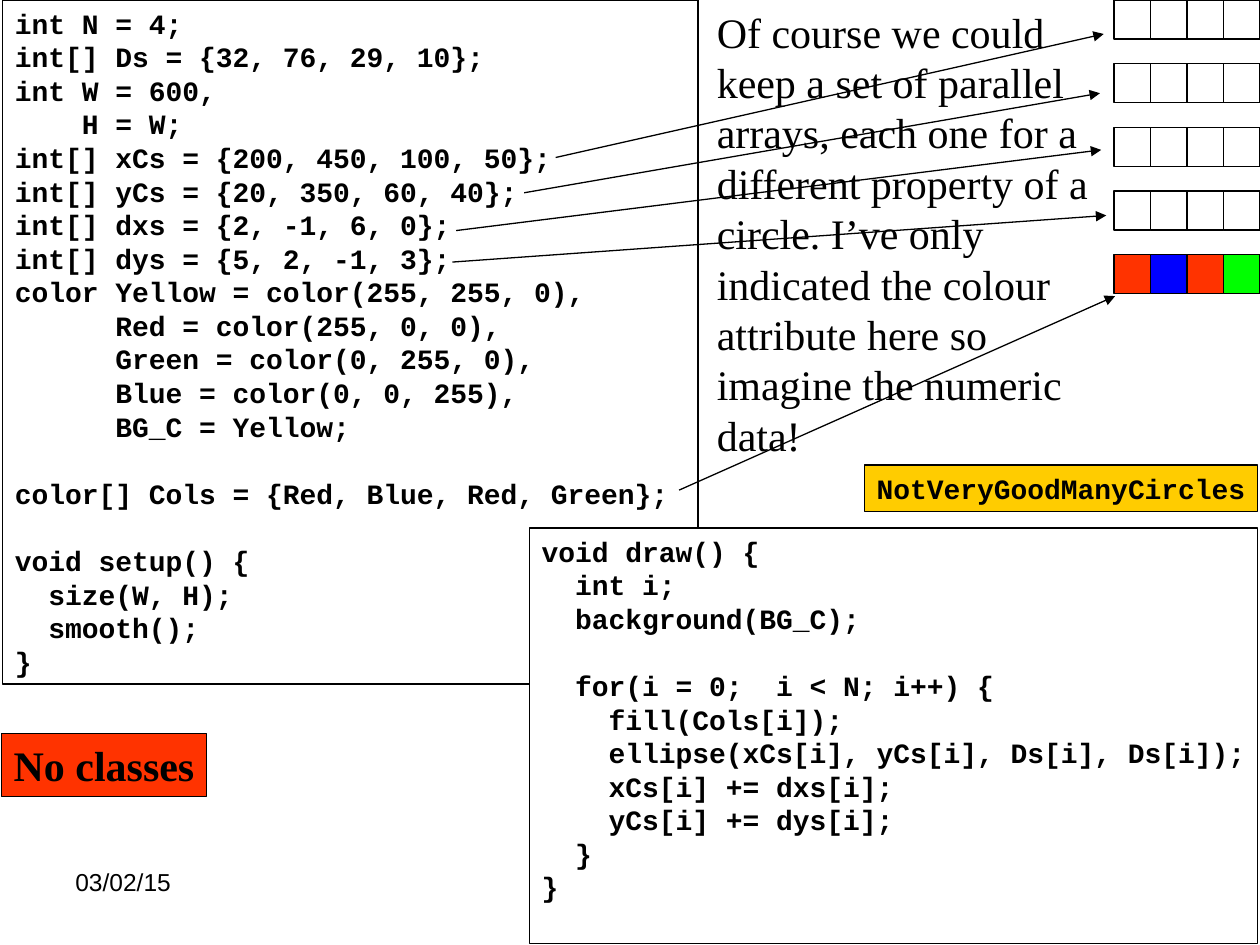
from dataclasses import dataclass

from lxml import etree
from pptx import Presentation
from pptx.dml.color import RGBColor
from pptx.enum.shapes import MSO_CONNECTOR, MSO_SHAPE
from pptx.enum.text import MSO_ANCHOR, PP_ALIGN
from pptx.oxml.ns import qn
from pptx.util import Inches, Pt

RECTANGLE = MSO_SHAPE.RECTANGLE
STRAIGHT = MSO_CONNECTOR.STRAIGHT
LEFT = PP_ALIGN.LEFT
TOP = MSO_ANCHOR.TOP

COLOURS = {
    "black": "000000",
    "white": "FFFFFF",
    "red": "FF3300",
    "blue": "0000FF",
    "green": "00FF00",
    "amber": "FFCC00",
}
CODE_FONT = "Courier New"
PROSE_FONT = "Times New Roman"
LINE_WIDTH = Pt(0.75)
LINE_HEIGHT = 1.2

ARRAY_LEFT, ARRAY_PITCH = 8.84, 0.505
CELL_WIDTH, CELL_HEIGHT, CELL_PITCH = 0.29, 0.31, 0.29
PLAIN_ROW = (None,) * 4
ARRAY_ROWS = [PLAIN_ROW] * 4 + [("red", "blue", "red", "green")]

SETUP_CODE = """int N = 4;
int[] Ds = {32, 76, 29, 10};
int W = 600,
    H = W;
int[] xCs = {200, 450, 100, 50};
int[] yCs = {20, 350, 60, 40};
int[] dxs = {2, -1, 6, 0};
int[] dys = {5, 2, -1, 3};
color Yellow = color(255, 255, 0),
      Red = color(255, 0, 0),
      Green = color(0, 255, 0),
      Blue = color(0, 0, 255),
      BG_C = Yellow;

color[] Cols = {Red, Blue, Red, Green};

void setup() {
  size(W, H);
  smooth();
}"""

DRAW_CODE = """void draw() {
  int i;
  background(BG_C);

  for(i = 0;  i < N; i++) {
    fill(Cols[i]);
    ellipse(xCs[i], yCs[i], Ds[i], Ds[i]);
    xCs[i] += dxs[i];
    yCs[i] += dys[i];
  }
}"""

EXPLANATION = (
    "Of course we could keep a set of parallel arrays, each one for a "
    "different property of a circle. I’ve only indicated the colour "
    "attribute here so imagine the numeric data!"
)


@dataclass(frozen=True)
class Box:
    left: float
    top: float
    width: float
    height: float

    def lengths(self) -> tuple:
        return tuple(map(Inches, (self.left, self.top, self.width, self.height)))


@dataclass(frozen=True)
class Arrow:
    start: tuple[float, float]
    end: tuple[float, float]


ARROWS = [
    Arrow((5.39, 3.89), (8.85, 2.35)),
    Arrow((3.59, 2.08), (8.78, 1.71)),
    Arrow((3.62, 1.83), (8.74, 1.19)),
    Arrow((4.16, 1.53), (8.73, 0.74)),
    Arrow((4.41, 1.25), (8.76, 0.27)),
]


def colour(name: str) -> RGBColor:
    return RGBColor.from_string(COLOURS[name])


def add_rectangle(shapes, box: Box, fill: str | None = None):
    shape = shapes.add_shape(RECTANGLE, *box.lengths())
    shape.shadow.inherit = False
    if fill:
        shape.fill.solid()
        shape.fill.fore_color.rgb = colour(fill)
    else:
        shape.fill.background()
    shape.line.color.rgb = colour("black")
    shape.line.width = LINE_WIDTH
    return shape


def write_text(shape, text: str, *, font: str = CODE_FONT, size: int = 16,
               bold: bool = True) -> None:
    """Write one paragraph per line; an empty line becomes space before the next."""
    frame = shape.text_frame
    frame.word_wrap = True
    frame.vertical_anchor = TOP
    frame.margin_right = 0
    line_height = Pt(size * LINE_HEIGHT)
    paragraph, gap = frame.paragraphs[0], 0
    for index, line in enumerate(text.split("\n")):
        if not line:
            gap += line_height
            continue
        if index:
            paragraph = frame.add_paragraph()
        paragraph.alignment = LEFT
        paragraph.line_spacing = line_height
        paragraph.space_before = gap
        gap = 0
        run = paragraph.add_run()
        run.text = line
        run.font.name = font
        run.font.size = Pt(size)
        run.font.bold = bold
        run.font.color.rgb = colour("black")


def add_array(shapes, top: float, fills: tuple) -> None:
    cells = shapes.add_group_shape().shapes
    for column, fill in enumerate(fills):
        left = ARRAY_LEFT + column * CELL_PITCH
        add_rectangle(cells, Box(left, top, CELL_WIDTH, CELL_HEIGHT), fill)


def add_arrow(shapes, arrow: Arrow) -> None:
    points = map(Inches, (*arrow.start, *arrow.end))
    connector = shapes.add_connector(STRAIGHT, *points)
    connector.line.color.rgb = colour("black")
    connector.line.width = LINE_WIDTH
    properties = connector._element.spPr
    etree.SubElement(properties.find(qn("a:ln")), qn("a:tailEnd"), type="triangle")
    etree.SubElement(properties, qn("a:effectLst"))


def main() -> None:
    presentation = Presentation()
    presentation.slide_width = Inches(10)
    presentation.slide_height = Inches(7.5)
    slide = presentation.slides.add_slide(presentation.slide_layouts[6])
    shapes = slide.shapes

    date = shapes.add_textbox(*Box(0.5, 6.83, 2.33, 0.52).lengths())
    write_text(date, "03/02/15", font="Arial", size=14, bold=False)

    setup_box = add_rectangle(shapes, Box(0.02, 0, 5.52, 5.43), "white")
    write_text(setup_box, SETUP_CODE)
    draw_box = add_rectangle(shapes, Box(4.2, 4.19, 5.78, 3.3), "white")
    write_text(draw_box, DRAW_CODE)

    for row, fills in enumerate(ARRAY_ROWS):
        add_array(shapes, row * ARRAY_PITCH, fills)

    explanation = shapes.add_textbox(*Box(5.59, 0, 3.19, 3.7).lengths())
    write_text(explanation, EXPLANATION, font=PROSE_FONT, size=24, bold=False)

    program_name = add_rectangle(shapes, Box(6.86, 3.69, 3.12, 0.37), "amber")
    write_text(program_name, "NotVeryGoodManyCircles")
    verdict = add_rectangle(shapes, Box(0.01, 5.82, 1.63, 0.5), "red")
    write_text(verdict, "No classes", font=PROSE_FONT, size=24)

    for arrow in ARROWS:
        add_arrow(shapes, arrow)

    presentation.save("out.pptx")


if __name__ == "__main__":
    main()
